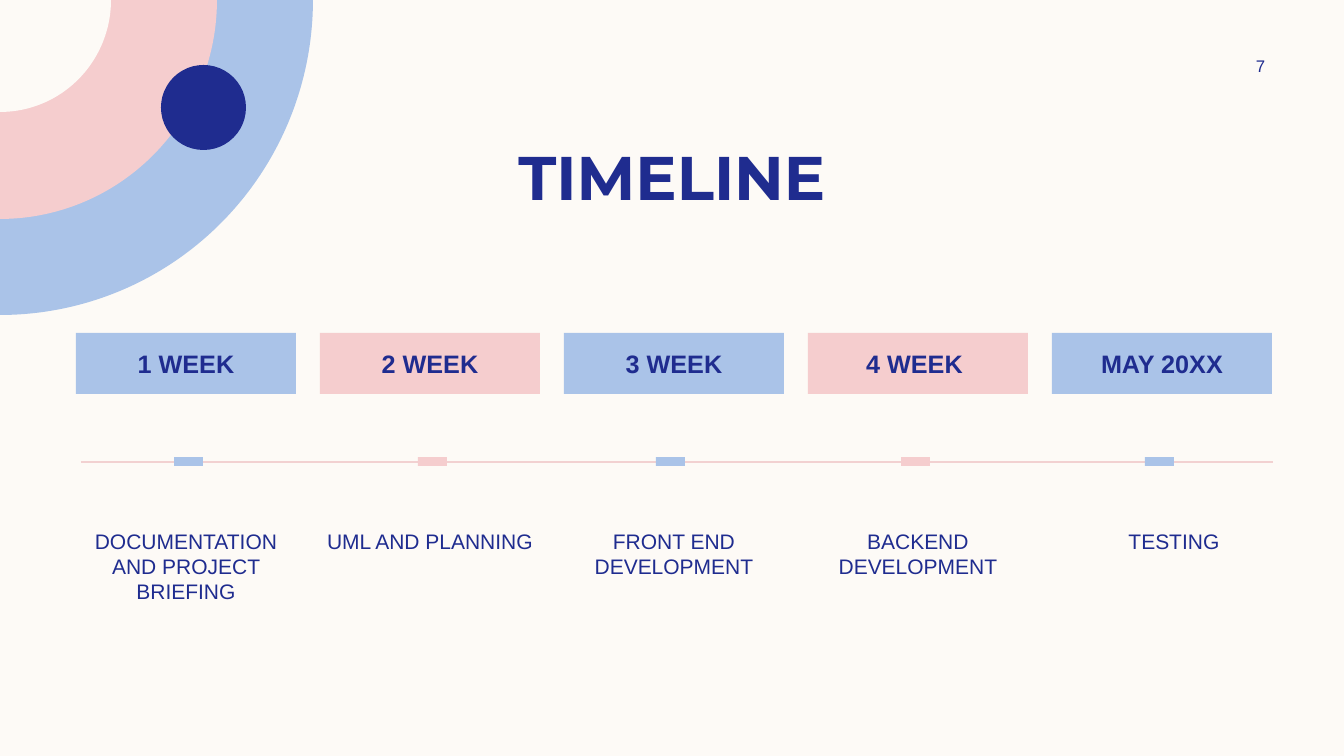
import pptx
import pptx.util
from lxml import etree
from pptx.dml.color import RGBColor
from pptx.enum.shapes import MSO_CONNECTOR, MSO_SHAPE
from pptx.enum.text import MSO_ANCHOR, PP_ALIGN
from pptx.oxml.ns import qn

# Content
HEADING = "TIMELINE"
PAGE_NUMBER = "7"
# period, task, colour, left of marker, shift of task text
MILESTONES = [
    ("1 WEEK", "DOCUMENTATION AND PROJECT BRIEFING", "blue", 174, 0),
    ("2 WEEK", "UML AND PLANNING", "pink", 418, 0),
    ("3 WEEK", "FRONT END DEVELOPMENT", "blue", 656, 0),
    ("4 WEEK ", "BACKEND DEVELOPMENT", "pink", 901, 0),
    ("MAY 20XX", "TESTING", "blue", 1145, 12),
]
COLORS = {
    "cream": "FDFAF6",
    "blue": "AAC3E8",
    "pink": "F5CDCE",
    "navy": "1F2C8F",
    "axis": "F2D1D1",
}
# Corner quarter discs: horizontal radius, vertical radius, colour
CORNER_DISCS = [(313, 315, "blue"), (217, 219, "pink"), (111, 112, "cream")]

# Layout in px
EMU_PER_PX = 914400 / 100.8
CARD_LEFT, CARD_TOP, CARD_WIDTH, CARD_HEIGHT, CARD_STEP = 76, 333, 220, 61, 244
AXIS_LEFT, AXIS_RIGHT, AXIS_Y = 81, 1273, 462
MARK_TOP, MARK_WIDTH, MARK_HEIGHT = 457, 29, 9
TASK_TOP, TASK_HEIGHT = 523, 88


def px(length):
    return pptx.util.Emu(round(length * EMU_PER_PX))


def rgb(name):
    return RGBColor.from_string(COLORS[name])


def paint(shape, color):
    shape.shadow.inherit = False
    shape.fill.solid()
    shape.fill.fore_color.rgb = rgb(color)
    shape.line.fill.background()


def add_block(kind, left, top, width, height, color):
    block = slide.shapes.add_shape(kind, px(left), px(top), px(width), px(height))
    paint(block, color)
    return block


def add_label(left, top, width, height):
    return slide.shapes.add_textbox(px(left), px(top), px(width), px(height))


def write(shape, text, size, font="Arial", bold=False,
          anchor=MSO_ANCHOR.MIDDLE, side=10, end=5):
    frame = shape.text_frame
    frame.word_wrap = True
    frame.vertical_anchor = anchor
    frame.margin_left = frame.margin_right = px(side)
    frame.margin_top = frame.margin_bottom = px(end)
    frame.text = text
    paragraph = frame.paragraphs[0]
    paragraph.alignment = PP_ALIGN.CENTER
    style = paragraph.runs[0].font
    style.name, style.size, style.bold = font, pptx.util.Pt(size), bold
    style.color.rgb = rgb("navy")


def add_quarter_disc(radius_x, radius_y, color):
    outline = slide.shapes.build_freeform(0, 0, scale=EMU_PER_PX)
    outline.add_line_segments([(radius_x, 0), (0, radius_y)], close=True)
    disc = outline.convert_to_shape()
    paint(disc, color)
    # Bend the slanted edge into a quarter arc
    slant = list(disc._element.iter(qn("a:lnTo")))[1]
    arc = etree.Element(qn("a:arcTo"), wR=str(radius_x), hR=str(radius_y),
                        stAng="0", swAng="5400000")
    slant.getparent().replace(slant, arc)


deck = pptx.Presentation()
deck.slide_width, deck.slide_height = px(1344), px(756)
slide = deck.slides.add_slide(deck.slide_layouts[6])
slide.background.fill.solid()
slide.background.fill.fore_color.rgb = rgb("cream")

# Corner decoration
for radius_x, radius_y, color in CORNER_DISCS:
    add_quarter_disc(radius_x, radius_y, color)
add_block(MSO_SHAPE.OVAL, 161, 65, 85, 85, "navy")

# Time axis
axis = slide.shapes.add_connector(
    MSO_CONNECTOR.STRAIGHT, px(AXIS_LEFT), px(AXIS_Y), px(AXIS_RIGHT), px(AXIS_Y))
axis.line.color.rgb = rgb("axis")
axis.line.width = pptx.util.Pt(1)
etree.SubElement(axis._element.spPr, qn("a:effectLst"))

# Heading and page number
write(add_label(84, 133, 1176, 85), HEADING, 44, font="Montserrat", bold=True)
write(add_label(1206, 50, 109, 31), PAGE_NUMBER, 12)

# Milestones
for index, (period, task, color, mark_left, task_shift) in enumerate(MILESTONES):
    left = CARD_LEFT + index * CARD_STEP
    card = add_block(MSO_SHAPE.RECTANGLE, left, CARD_TOP, CARD_WIDTH, CARD_HEIGHT, color)
    write(card, period, 18, bold=True, side=0, end=0)
    add_block(MSO_SHAPE.RECTANGLE, mark_left, MARK_TOP, MARK_WIDTH, MARK_HEIGHT, color)
    task_label = add_label(left + task_shift, TASK_TOP, CARD_WIDTH, TASK_HEIGHT)
    write(task_label, task, 15, anchor=MSO_ANCHOR.TOP, side=0)

deck.save("out.pptx")
